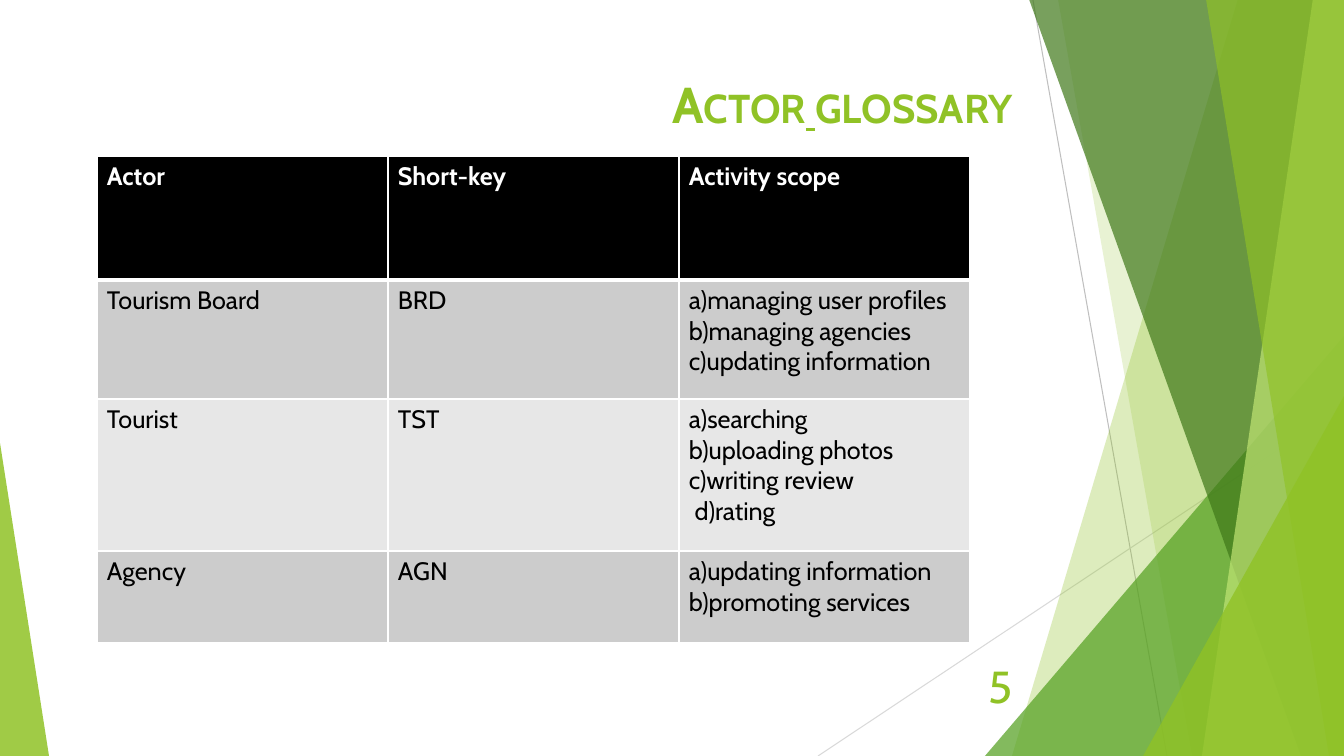
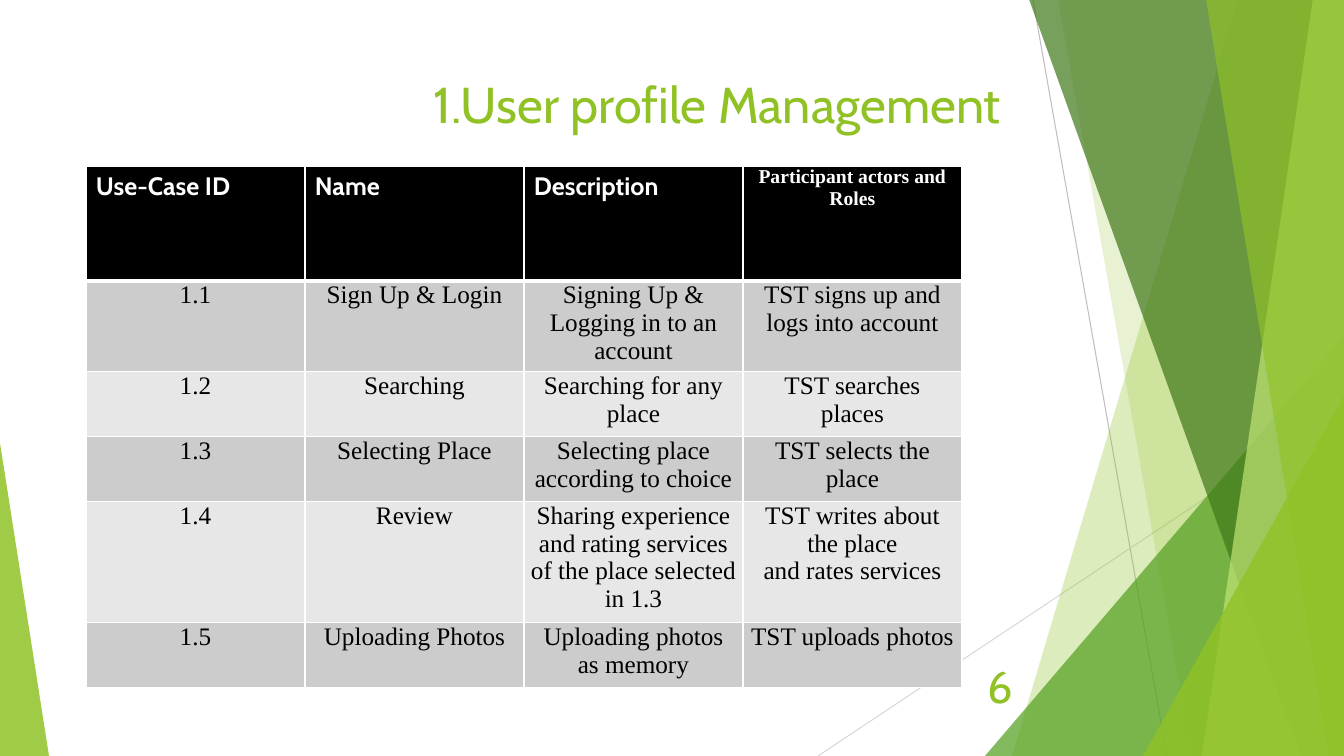
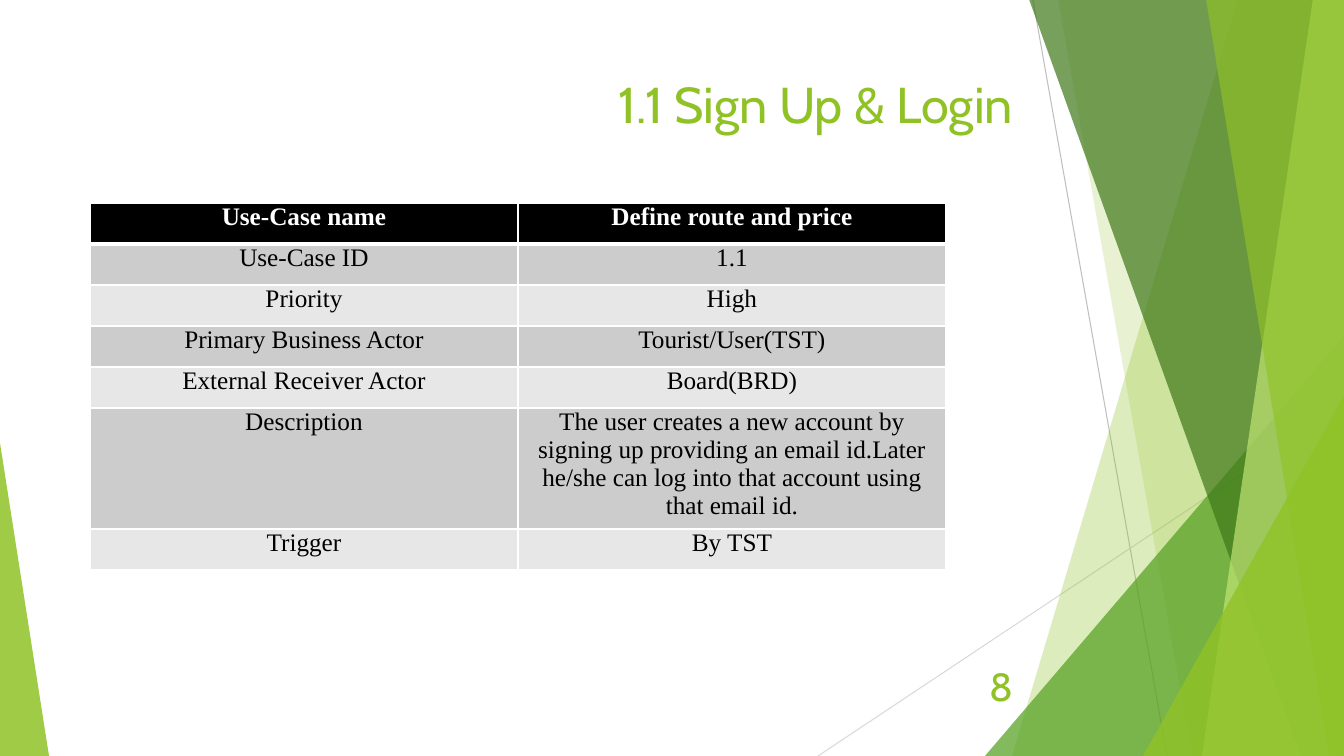
from lxml.etree import SubElement
from pptx import Presentation
from pptx.dml.color import RGBColor
from pptx.enum.shapes import MSO_CONNECTOR as CONN, MSO_SHAPE as SHAPE
from pptx.enum.text import MSO_ANCHOR as ANCHOR, PP_ALIGN as ALIGN
from pptx.oxml.ns import qn
from pptx.util import Pt

W, H = 1344, 756
PX = 12192000 / W

COLORS = {
    "lime": "90C226", "green": "54A021", "forest": "3F7819", "pale": "C0E474",
    "rule": "BFBFBF", "faint": "D9D9D9", "white": "FFFFFF", "black": "000000",
    "band": "CCCCCC", "light": "E7E7E7",
}


def px(n):
    return round(n * PX)


def rgb(name):
    return RGBColor.from_string(COLORS[name])


def set_attrs(obj, values):
    for key, value in values.items():
        setattr(obj, key, value)


def margins(side, top):
    return {"margin_left": px(side), "margin_right": px(side),
            "margin_top": px(top), "margin_bottom": px(top)}


LOOSE = {"font": "Cabin", "size": 18, "align": ALIGN.LEFT, "cell": margins(10, 5)}
TIGHT = {"font": "Times New Roman", "size": 18, "align": ALIGN.CENTER, "cell": margins(7, 0)}
SMALL = {**TIGHT, "size": 14, "cell": margins(12, 0)}

RULES = [("rule", 1033, 0, 1167, H), ("faint", W, 406, 818, H)]
# Kind, colour, opacity in percent, geometry: bands run from their top left x
# and bottom left x to the right edge; triangles have x, y and apex position.
DECOR = [
    ("band", "lime", 30, (1238, 1012)),
    ("band", "lime", 20, (1058, 1192)),
    ("triangle", "green", 72, (985, 336, 359, 1)),
    ("band", "forest", 70, (1029, 1301)),
    ("band", "pale", 70, (1313, 1202)),
    ("band", "lime", 65, (1206, 1329)),
    ("triangle", "lime", 80, (1143, 396, 201, 1)),
    ("triangle", "lime", 85, (0, 443, 49, 0)),
]


def add_band(s, top_x, bottom_x):
    """Outline between a slanted left side and the right edge of the slide."""
    fb = s.shapes.build_freeform(px(top_x), px(-1))
    fb.add_line_segments([(px(W), px(-1)), (px(W), px(H)), (px(bottom_x), px(H))], close=True)
    return fb.convert_to_shape()


def add_triangle(s, x, y, w, apex):
    """Right triangle standing on the bottom edge of the slide."""
    sp = s.shapes.add_shape(SHAPE.ISOSCELES_TRIANGLE, px(x), px(y), px(w), px(H - y))
    sp.adjustments[0] = apex
    return sp


def add_backdrop(s):
    for color, x1, y1, x2, y2 in RULES:
        line = s.shapes.add_connector(CONN.STRAIGHT, px(x1), px(y1), px(x2), px(y2))
        line.line.color.rgb = rgb(color)
        line.line.width = Pt(0.75)
        SubElement(line._element.spPr, qn("a:effectLst"))
    draw = {"band": add_band, "triangle": add_triangle}
    for kind, color, opacity, geometry in DECOR:
        sp = draw[kind](s, *geometry)
        sp.shadow.inherit = False
        sp.fill.solid()
        sp.fill.fore_color.rgb = rgb(color)
        sp.line.fill.background()
        clr = sp._element.spPr.find(qn("a:solidFill")).find(qn("a:srgbClr"))
        SubElement(clr, qn("a:alpha"), val=str(opacity * 1000))


def add_run(p, text, color, **font):
    r = p.add_run()
    r.text = text
    set_attrs(r.font, font)
    r.font.color.rgb = rgb(color)
    return r


def add_text(s, box, anchor, right=10):
    """Right-aligned text box; returns its paragraph."""
    tf = s.shapes.add_textbox(*map(px, box)).text_frame
    set_attrs(tf, {**margins(10, 5), "margin_right": px(right),
                   "word_wrap": True, "vertical_anchor": anchor})
    p = tf.paragraphs[0]
    p.alignment = ALIGN.RIGHT
    return p


def add_title(s, parts, right=10, **font):
    """Title of (text, underlined) parts; extra font values apply to all."""
    small_caps = font.pop("small_caps", False)
    p = add_text(s, (75, 68, 948, 145), ANCHOR.TOP, right)
    for text, underline in parts:
        r = add_run(p, text, "lime", name="Cabin", size=Pt(36), underline=underline, **font)
        if small_caps:
            r.font._element.set("cap", "small")


def add_number(s, number, size):
    p = add_text(s, (947, 666, 76, 40), ANCHOR.MIDDLE)
    add_run(p, str(number), "lime", name="Cabin", size=Pt(size))


def add_borders(cell, top, bottom):
    tc_pr = cell._tc.get_or_add_tcPr()
    for tag, width in (("lnL", 1), ("lnR", 1), ("lnT", top), ("lnB", bottom)):
        ln = SubElement(tc_pr, qn(f"a:{tag}"), w=str(Pt(width)))
        SubElement(SubElement(ln, qn("a:solidFill")), qn("a:srgbClr"), val=COLORS["white"])


def fill_cell(cell, text, style, row):
    add_borders(cell, 3 if row == 1 else 1, 3 if row == 0 else 1)
    cell.fill.solid()
    cell.fill.fore_color.rgb = rgb("black" if row == 0 else "band" if row % 2 else "light")
    set_attrs(cell, style["cell"])
    tf = cell.text_frame
    for i, line in enumerate(text.split("\n")):
        p = tf.add_paragraph() if i else tf.paragraphs[0]
        p.alignment = style["align"]
        add_run(p, line, "black" if row else "white",
                name=style["font"], size=Pt(style["size"]), bold=row == 0)


def add_grid(s, x, y, col_width, heights, rows, head_styles, body_style):
    cols = len(rows[0])
    table = s.shapes.add_table(len(rows), cols, px(x), px(y),
                               px(cols * col_width), px(sum(heights))).table
    table.horz_banding = False
    for col in table.columns:
        col.width = px(col_width)
    for i, (height, texts) in enumerate(zip(heights, rows)):
        table.rows[i].height = px(height)
        styles = [body_style] * cols if i else head_styles
        for j, (text, style) in enumerate(zip(texts, styles)):
            fill_cell(table.cell(i, j), text, style, i)


ACTORS = [
    ("Actor", "Short-key", "Activity scope"),
    ("Tourism Board", "BRD",
     "a)managing user profiles\nb)managing agencies\nc)updating information"),
    ("Tourist", "TST", "a)searching\nb)uploading photos\nc)writing review\n d)rating"),
    ("Agency", "AGN", "a)updating information\nb)promoting services"),
]
USE_CASES = [
    ("Use-Case ID", "Name", "Description", "Participant actors and Roles"),
    ("1.1", "Sign Up & Login", "Signing Up & Logging in to an account",
     "TST signs up and logs into account"),
    ("1.2", "Searching", "Searching for any place", "TST searches places"),
    ("1.3", "Selecting Place", "Selecting place according to choice", "TST selects the place"),
    ("1.4", "Review", "Sharing experience and rating services of the place selected in 1.3",
     "TST writes about the place\nand rates services"),
    ("1.5", "Uploading Photos", "Uploading photos as memory", "TST uploads photos"),
]
SIGN_UP = [
    ("Use-Case name", "Define route and price"),
    ("Use-Case ID", "1.1"),
    ("Priority", "High"),
    ("Primary Business Actor", "Tourist/User(TST)"),
    ("External Receiver Actor", "Board(BRD)"),
    ("Description", "The user creates a new account by signing up providing an email id."
     "Later he/she can log into that account using that email id."),
    ("Trigger", "By TST"),
]
SLIDES = [
    {"title": {"parts": [("Actor", False), (" ", True), ("glossary", False)],
               "bold": True, "small_caps": True},
     "grid": (97, 156, 291, (124, 119, 152, 92), ACTORS, [LOOSE] * 3, LOOSE),
     "number": (5, 32)},
    {"title": {"parts": [("1.User profile Management", False)], "right": 22},
     "grid": (86, 166, 219, (115, 83, 65, 65, 111, 65), USE_CASES,
              [LOOSE] * 3 + [SMALL], TIGHT),
     "number": (6, 32)},
    {"title": {"parts": [("1.1 Sign Up & Login", False)]},
     "grid": (90, 203, 428, (41, 41, 41, 41, 41, 112, 41), SIGN_UP, [TIGHT] * 2, TIGHT),
     "number": (8, 28)},
]


def add_table_slide(prs, content):
    s = prs.slides.add_slide(prs.slide_layouts[6])
    add_backdrop(s)
    add_title(s, **content["title"])
    add_grid(s, *content["grid"])
    add_number(s, *content["number"])


def main():
    prs = Presentation()
    set_attrs(prs, {"slide_width": px(W), "slide_height": px(H)})
    for content in SLIDES:
        add_table_slide(prs, content)
    prs.save("out.pptx")


if __name__ == "__main__":
    main()
